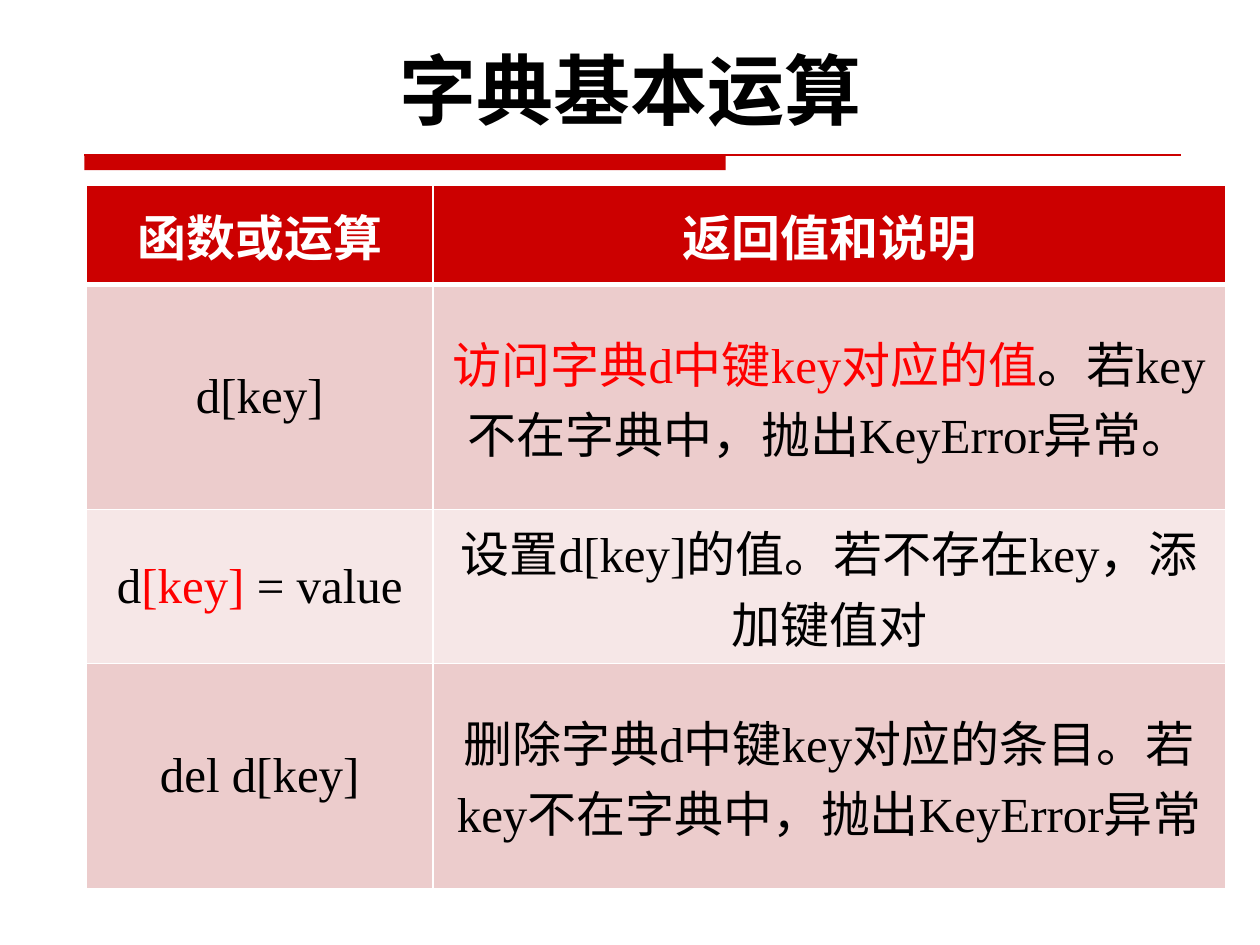
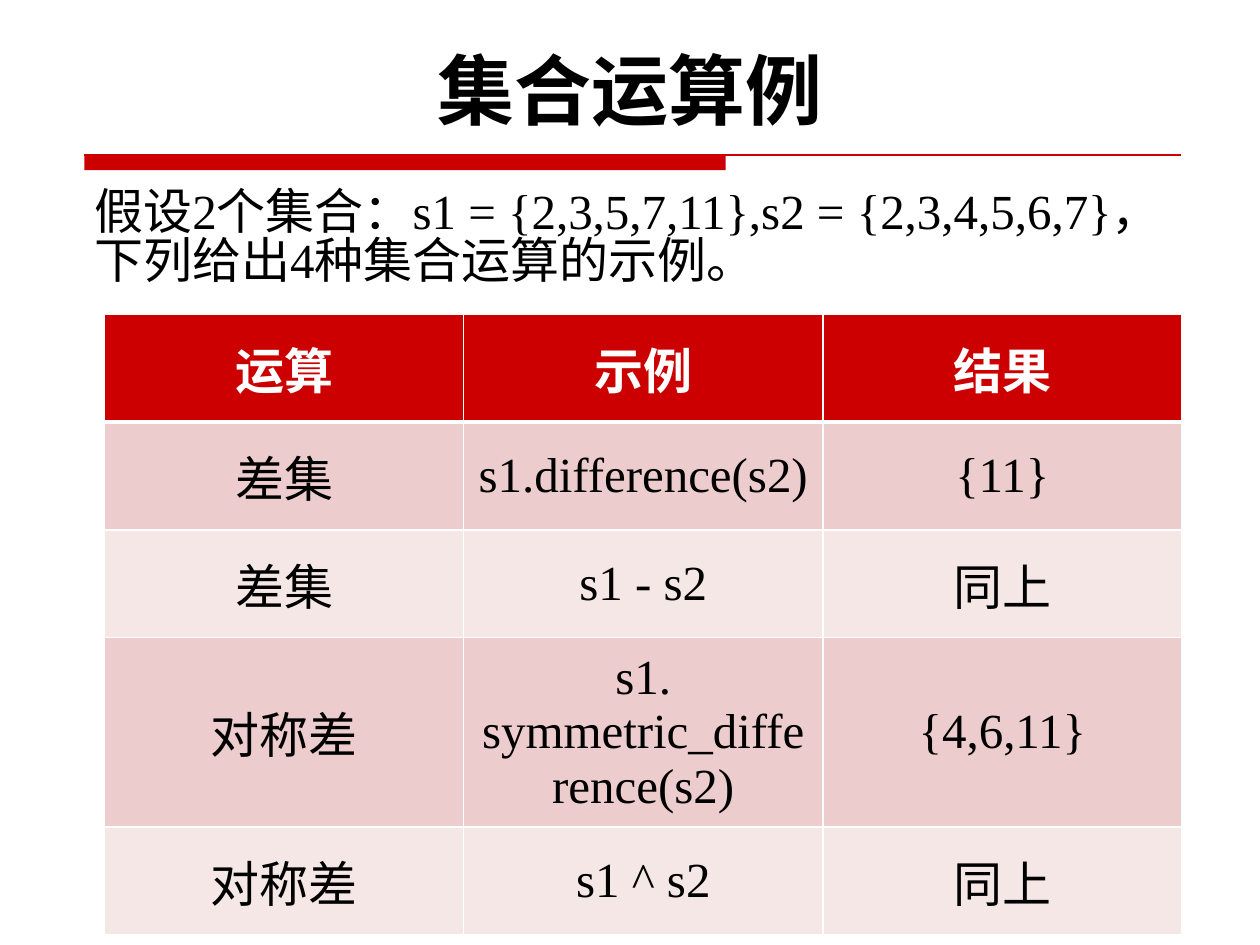
import dataclasses

import lxml.etree
import pptx
import pptx.dml.color
import pptx.enum.lang
import pptx.enum.shapes
import pptx.enum.text
import pptx.oxml
import pptx.oxml.ns
import pptx.util

Pt = pptx.util.Pt
CENTER = pptx.enum.text.PP_ALIGN.CENTER
LEFT = pptx.enum.text.PP_ALIGN.LEFT
ANCHOR = pptx.enum.text.MSO_ANCHOR


@dataclasses.dataclass(frozen=True)
class Theme:
    """Colours, fonts and type sizes shared by the slides."""

    accent: str = "CC0000"
    highlight: str = "FF0000"
    ink: str = "000000"
    paper: str = "FFFFFF"
    bands: tuple = ("ECCCCC", "F6E7E7")
    title_font: str = "Cabin"
    body_font: str = "Times New Roman"
    title_size: int = 44
    body_size: int = 28
    border: int = 1
    header_border: int = 3


THEME = Theme()
TITLE_BOX = (45.36, 23.76, 630, 53.28)
RULE_BOX = (48.24, 88.56, 626.4, 8.64)

DICT_ROWS = [
    ["函数或运算", "返回值和说明"],
    ["d[key]", [("访问字典d中键key对应的值", THEME.highlight),
                ("。若key不在字典中，抛出KeyError异常。", THEME.ink)]],
    [[("d", THEME.ink), ("[key] ", THEME.highlight), ("= value", THEME.ink)],
     "设置d[key]的值。若不存在key，添加键值对"],
    ["del d[key]", "删除字典d中键key对应的条目。若key不在字典中，抛出KeyError异常"],
]

SET_INTRO = "假设2个集合：s1 = {2,3,5,7,11},s2 = {2,3,4,5,6,7}，下列给出4种集合运算的示例。"
SET_ROWS = [
    ["运算", "示例", "结果"],
    ["差集", "s1.difference(s2)", "{11}"],
    ["差集", "s1 - s2", "同上"],
    ["对称差", "s1. symmetric_difference(s2)", "{4,6,11}"],
    ["对称差", "s1 ^ s2", "同上"],
]


def rgb(value):
    """Return the colour object for a hex string."""
    return pptx.dml.color.RGBColor.from_string(value)


def assign(target, values):
    """Set each attribute of the target from a dict."""
    for name, value in values.items():
        setattr(target, name, value)


def points(box):
    """Convert a box in points to lengths."""
    return [Pt(value) for value in box]


def write(paragraph, content, color, font, size, bold=False, alignment=CENTER):
    """Write a string, or pairs of text and colour, into a paragraph."""
    paragraph.alignment = alignment
    runs = [(content, color)] if isinstance(content, str) else content
    for text, run_color in runs:
        run = paragraph.add_run()
        run.text = text
        assign(run.font, {
            "name": font, "size": Pt(size), "bold": bold, "italic": False,
            "language_id": pptx.enum.lang.MSO_LANGUAGE_ID.SIMPLIFIED_CHINESE,
        })
        run.font.color.rgb = rgb(run_color)


def add_title(slide, box, text):
    """Place the bold title at the bottom of its box."""
    frame = slide.shapes.add_textbox(*points(box)).text_frame
    assign(frame, {"word_wrap": True, "vertical_anchor": ANCHOR.BOTTOM,
                   "margin_top": 0, "margin_bottom": 0})
    write(frame.paragraphs[0], text, THEME.ink, THEME.title_font,
          THEME.title_size, bold=True)


def add_title_rule(slide, box):
    """Draw the thick bar and the thin line under the title."""
    left, top, width, height = box
    bar = slide.shapes.add_shape(
        pptx.enum.shapes.MSO_SHAPE.RECTANGLE,
        *points((left, top, width * 0.585, height)))
    bar.shadow.inherit = False
    bar.fill.solid()
    bar.fill.fore_color.rgb = rgb(THEME.accent)
    bar.line.fill.background()
    line = slide.shapes.add_connector(
        pptx.enum.shapes.MSO_CONNECTOR.STRAIGHT,
        *points((left, top, left + width, top)))
    line.line.width = Pt(0.75)
    line.line.color.rgb = rgb(THEME.accent)
    lxml.etree.SubElement(line._element.spPr, pptx.oxml.ns.qn("a:effectLst"))


def add_intro(slide, box, text):
    """Place the paragraph that introduces the table."""
    frame = slide.shapes.add_textbox(*points(box)).text_frame
    assign(frame, {"word_wrap": True, "margin_left": Pt(9.36)})
    paragraph = frame.paragraphs[0]
    paragraph.line_spacing = 0.82
    write(paragraph, text, THEME.ink, THEME.body_font, THEME.body_size,
          alignment=LEFT)


def set_borders(cell, top, bottom):
    """Give a cell solid borders of the given top and bottom widths."""
    properties = cell._tc.get_or_add_tcPr()
    widths = {"L": THEME.border, "R": THEME.border, "T": top, "B": bottom}
    for index, (side, width) in enumerate(widths.items()):
        properties.insert(index, pptx.oxml.parse_xml(
            f'<a:ln{side} {pptx.oxml.ns.nsdecls("a")} w="{Pt(width)}">'
            f'<a:solidFill><a:srgbClr val="{THEME.paper}"/></a:solidFill>'
            f'</a:ln{side}>'))


def add_banded_table(slide, left, top, widths, heights, rows):
    """Place a table with a red header and alternating row bands."""
    table = slide.shapes.add_table(
        len(rows), len(widths),
        *points((left, top, sum(widths), sum(heights)))).table
    for column, width in zip(table.columns, widths):
        column.width = Pt(width)
    for index, (row, height, contents) in enumerate(
            zip(table.rows, heights, rows)):
        row.height = Pt(height)
        header = index == 0
        fill = THEME.accent if header else THEME.bands[(index - 1) % 2]
        for cell, content in zip(row.cells, contents):
            cell.vertical_anchor = ANCHOR.MIDDLE
            cell.fill.solid()
            cell.fill.fore_color.rgb = rgb(fill)
            set_borders(
                cell,
                THEME.header_border if index == 1 else THEME.border,
                THEME.header_border if header else THEME.border)
            write(cell.text_frame.paragraphs[0], content,
                  THEME.paper if header else THEME.ink,
                  THEME.body_font, THEME.body_size, bold=header)


def add_titled_slide(presentation, title):
    """Add a blank slide with the shared title and rule."""
    slide = presentation.slides.add_slide(presentation.slide_layouts[6])
    slide.background.fill.solid()
    slide.background.fill.fore_color.rgb = rgb(THEME.paper)
    add_title_rule(slide, RULE_BOX)
    add_title(slide, TITLE_BOX, title)
    return slide


def build_dict_slide(presentation):
    """Build the slide on dictionary operations."""
    slide = add_titled_slide(presentation, "字典基本运算")
    add_banded_table(slide, 49.4, 105.84, (198, 452.88),
                     (56.88, 128.6, 88, 128.6), DICT_ROWS)


def build_set_slide(presentation):
    """Build the slide with examples of set operations."""
    slide = add_titled_slide(presentation, "集合运算例")
    add_intro(slide, (44.64, 105.84, 630, 72), SET_INTRO)
    add_banded_table(slide, 59.76, 179.6, [205.2] * 3,
                     (61.6, 61.6, 61.6, 100.2, 61.6), SET_ROWS)


def main():
    """Build and save the presentation."""
    presentation = pptx.Presentation()
    assign(presentation, {"slide_width": Pt(720), "slide_height": Pt(540)})
    build_dict_slide(presentation)
    build_set_slide(presentation)
    presentation.save("out.pptx")


if __name__ == "__main__":
    main()
